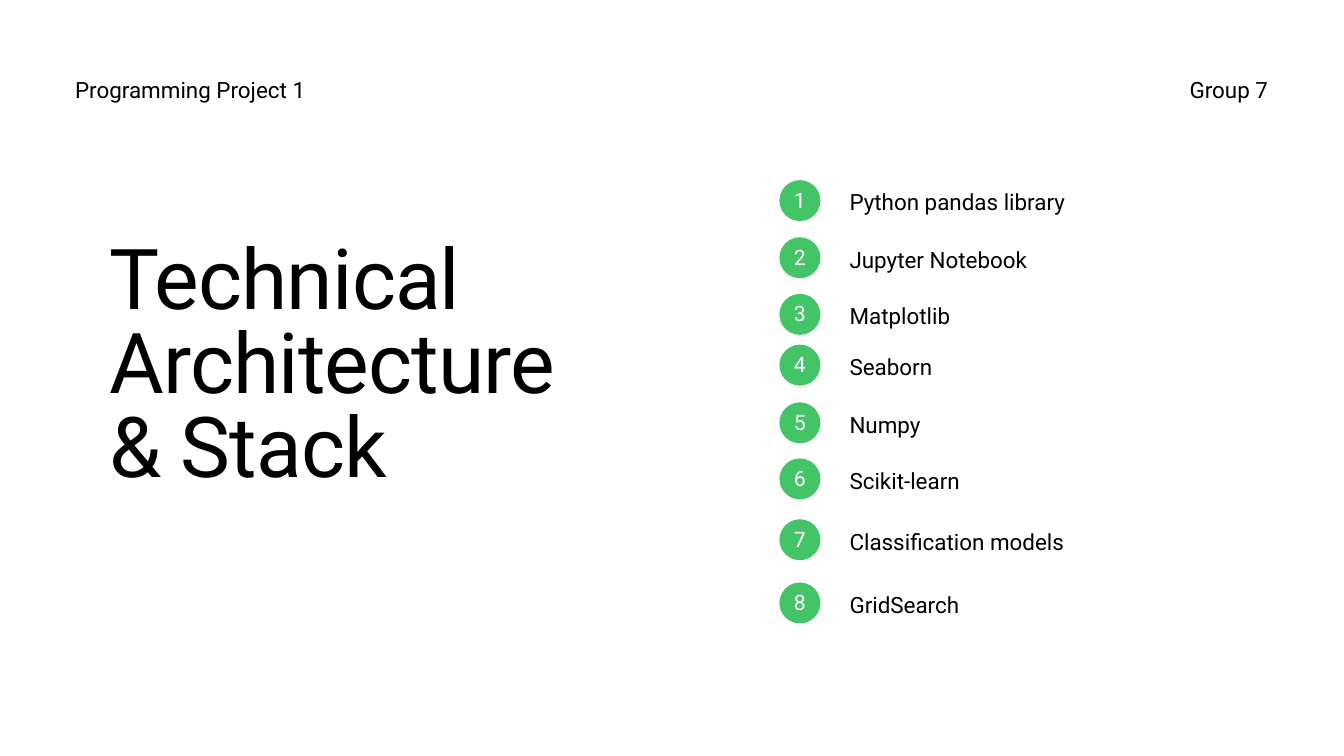
from lxml import etree
from pptx import Presentation
from pptx import util as u
from pptx.dml import color
from pptx.enum import shapes, text
from pptx.oxml import ns

STEPS = [
    ("Python pandas library", 6.81),
    ("Jupyter Notebook", 8.97),
    ("Matplotlib", 11.11),
    ("Seaborn", 13.03),
    ("Numpy", 15.21),
    ("Scikit-learn", 17.33),
    ("Classification models", 19.63),
    ("GridSearch", 22.02),
]
LEFT, CENTER, RIGHT = text.PP_ALIGN.LEFT, text.PP_ALIGN.CENTER, text.PP_ALIGN.RIGHT
DOT_LEFT, DOT_SIZE = 29.46, 1.55
LABEL_LEFT, LABEL_DROP = 32.11, 0.15


def hex_color(value):
    return color.RGBColor.from_string(value)


def assign(target, values):
    for name, value in values.items():
        setattr(target, name, value)


class SlideBuilder:
    """Holds the style and the current slide, and adds each kind of element."""

    font = "Roboto"
    ink, paper, accent = "000000", "FFFFFF", "43C466"
    body_size, body_line = 24, 33.6

    def __init__(self, deck):
        self.page = deck.slides.add_slide(deck.slide_layouts[1])
        fill = self.page.background.fill
        fill.solid()
        fill.fore_color.rgb = hex_color(self.paper)

    def place(self, box, left, top, width, height):
        assign(box, {"left": u.Cm(left), "top": u.Cm(top),
                     "width": u.Cm(width), "height": u.Cm(height)})

    def frame(self, box, anchor=text.MSO_ANCHOR.TOP):
        assign(box.text_frame, {
            "margin_left": 0, "margin_right": 0, "margin_top": 0, "margin_bottom": 0,
            "word_wrap": True, "auto_size": text.MSO_AUTO_SIZE.NONE,
            "vertical_anchor": anchor})
        return box.text_frame

    def add_words(self, para, words, size=body_size, line=body_line, align=LEFT,
                  ink=ink, before=0):
        span = para.add_run()
        span.text = words
        assign(para, {"alignment": align, "line_spacing": u.Pt(line),
                      "space_before": u.Pt(before), "space_after": u.Pt(0)})
        assign(span.font, {"name": self.font, "size": u.Pt(size), "bold": False})
        span.font.color.rgb = hex_color(ink)
        return span

    def title(self, words, *area):
        box = self.page.shapes.title
        self.place(box, *area)
        span = self.add_words(self.frame(box).paragraphs[0], words, size=90, line=90)
        span._r.get_or_add_rPr().set("spc", "-90")

    def label(self, words, left, top, width, height, align=LEFT):
        box = self.page.shapes.add_textbox(0, 0, 0, 0)
        self.place(box, left, top, width, height)
        self.add_words(self.frame(box).paragraphs[0], words, align=align)

    def steps(self, entries, *area):
        box = self.page.placeholders[1]
        self.place(box, *area)
        frame = self.frame(box)
        previous = None
        for words, top in entries:
            first = previous is None
            para = frame.paragraphs[0] if first else frame.add_paragraph()
            gap = 0 if first else round(u.Cm(top - previous).pt - self.body_line, 1)
            self.add_words(para, words, before=gap)
            properties = para._p.get_or_add_pPr()
            properties.set("marL", "0")
            properties.set("indent", "0")
            etree.SubElement(properties, ns.qn("a:buNone"))
            previous = top

    def dot(self, number, left, top, size):
        box = self.page.shapes.add_shape(
            shapes.MSO_SHAPE.OVAL, u.Cm(left), u.Cm(top), u.Cm(size), u.Cm(size))
        box.shadow.inherit = False
        box.fill.solid()
        box.fill.fore_color.rgb = hex_color(self.accent)
        box.line.fill.background()
        frame = self.frame(box, text.MSO_ANCHOR.MIDDLE)
        self.add_words(frame.paragraphs[0], str(number), size=22.8, line=25.1,
                       align=CENTER, ink=self.paper)


def main():
    deck = Presentation()
    assign(deck, {"slide_width": u.Cm(50.8), "slide_height": u.Cm(28.58)})
    builder = SlideBuilder(deck)
    builder.title("Technical Architecture & Stack", 4.14, 9.17, 19, 9.7)
    builder.label("Programming Project 1", 2.84, 2.72, 10.92, 1.12)
    builder.label("Group 7", 37.01, 2.72, 10.92, 1.12, RIGHT)
    builder.steps(STEPS, LABEL_LEFT, STEPS[0][1] + LABEL_DROP, 11.53, 16.33)
    for number, (_, top) in enumerate(STEPS, 1):
        builder.dot(number, DOT_LEFT, top, DOT_SIZE)
    deck.save("out.pptx")


if __name__ == "__main__":
    main()
